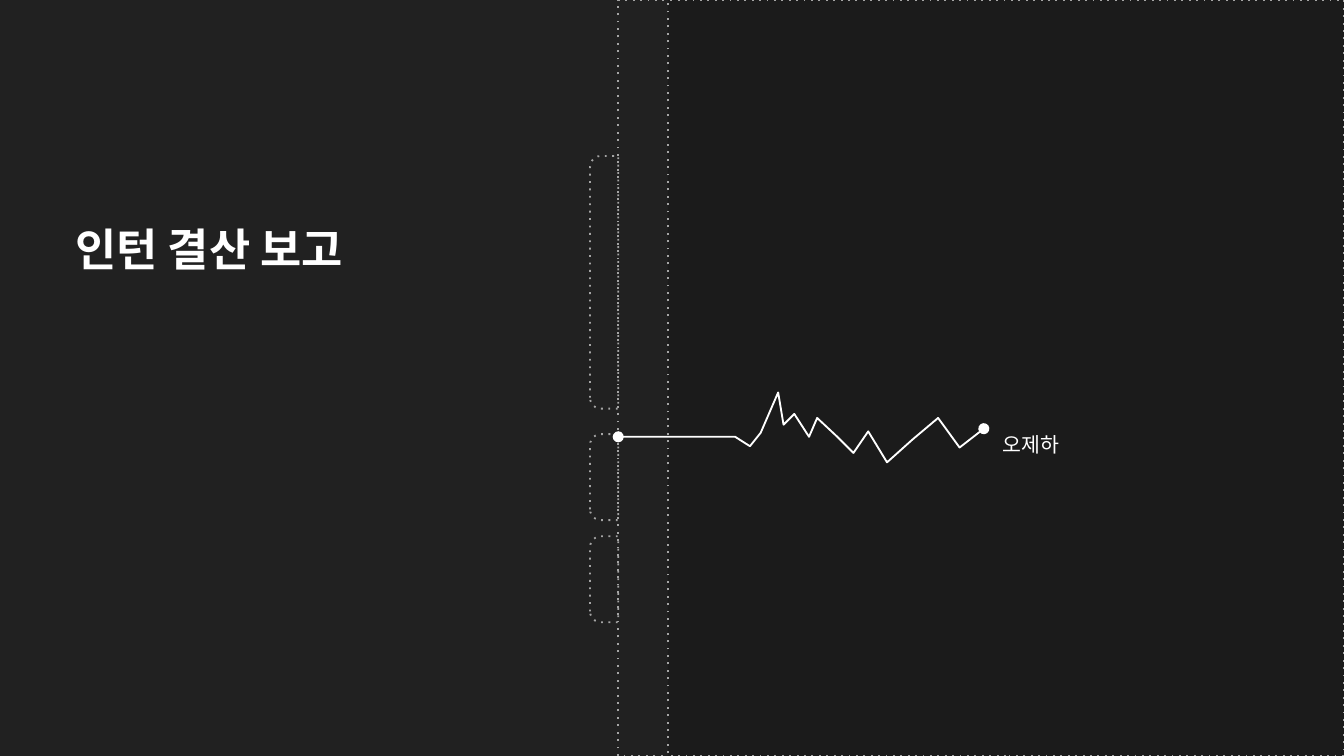
from lxml.etree import SubElement
from pptx import Presentation
from pptx.dml.color import RGBColor
from pptx.enum.dml import MSO_LINE
from pptx.enum.shapes import MSO_SHAPE
from pptx.enum.text import MSO_ANCHOR, MSO_AUTO_SIZE, PP_ALIGN
from pptx.oxml.ns import qn
from pptx.util import Inches, Pt

FONT = "Noto Sans CJK KR"
COLORS = {"background": "212121", "panel": "1B1B1B", "dots": "A5A5A5", "white": "FFFFFF"}
WIDTH = 10
HEIGHT = WIDTH * 9 / 16
SPINE = 4.6  # x where the tabs meet the page edge
TAB_DEPTH = 0.21
TABS = [(1.16, 1.88), (3.23, 0.64), (3.99, 0.64)]  # top, height
PULSE = [
    (7.32, 3.19), (7.14, 3.33), (6.98, 3.11), (6.79, 3.27), (6.6, 3.44), (6.46, 3.21),
    (6.35, 3.37), (6.23, 3.25), (6.08, 3.11), (6.02, 3.25), (5.91, 3.08), (5.83, 3.16),
    (5.79, 2.92), (5.66, 3.22), (5.58, 3.32), (5.47, 3.25), (SPINE, 3.25),
]


def color(name):
    return RGBColor.from_string(COLORS[name])


def style_shape(shape, fill=None, line="dots", dotted=True):
    shape.shadow.inherit = False
    if fill:
        shape.fill.solid()
        shape.fill.fore_color.rgb = color(fill)
    else:
        shape.fill.background()
    shape.line.color.rgb = color(line)
    shape.line.width = Pt(1)
    if dotted:
        # The widely spaced "dot" preset has no MSO_LINE member
        shape.line.dash_style = MSO_LINE.ROUND_DOT
        shape.line._get_or_add_ln().find(qn("a:prstDash")).set("val", "dot")


def write_text(shape, text, size=11, bold=False, ink="white"):
    frame = shape.text_frame
    frame.word_wrap = True
    frame.auto_size = MSO_AUTO_SIZE.NONE
    frame.vertical_anchor = MSO_ANCHOR.TOP
    frame.margin_left = frame.margin_right = Inches(0.07)
    frame.margin_top = frame.margin_bottom = Inches(0.04)
    paragraph = frame.paragraphs[0]
    paragraph.alignment = PP_ALIGN.LEFT
    paragraph.line_spacing = 1.5
    paragraph.space_before = Pt(0)
    run = paragraph.add_run()
    run.text = text
    run.font.size = Pt(size)
    run.font.bold = bold
    run.font.color.rgb = color(ink)
    run.font.name = FONT
    SubElement(run.font._element, qn("a:ea"), typeface=FONT)


def add_title(slide, text):
    title = slide.shapes.title
    title.left, title.top = Inches(0.49), Inches(1.41)
    title.width, title.height = Inches(3.22), Inches(0.74)
    write_text(title, text, size=24, bold=True)


def add_page(slide, left, fill):
    """Dotted page that runs from left to the right slide edge."""
    page = slide.shapes.add_shape(
        MSO_SHAPE.RECTANGLE, Inches(left), 0, Inches(WIDTH - left), Inches(HEIGHT))
    style_shape(page, fill=fill)


def add_tab(slide, top, height):
    """Index tab, turned so that its rounded corners face left."""
    center_x, center_y = SPINE - TAB_DEPTH / 2, top + height / 2
    tab = slide.shapes.add_shape(
        MSO_SHAPE.ROUND_2_SAME_RECTANGLE,
        Inches(center_x - height / 2), Inches(center_y - TAB_DEPTH / 2),
        Inches(height), Inches(TAB_DEPTH))
    tab.rotation = 270
    tab.adjustments[0] = 0.385
    style_shape(tab)


def add_pulse(slide, points):
    start, *rest = [(Inches(x), Inches(y)) for x, y in points]
    builder = slide.shapes.build_freeform(*start)
    builder.add_line_segments(rest, close=False)
    pulse = builder.convert_to_shape()
    style_shape(pulse, line="white", dotted=False)
    line = pulse.line._get_or_add_ln()
    for end in ("a:headEnd", "a:tailEnd"):
        SubElement(line, qn(end), type="oval")


def main():
    presentation = Presentation()
    presentation.slide_width, presentation.slide_height = Inches(WIDTH), Inches(HEIGHT)
    slide = presentation.slides.add_slide(presentation.slide_layouts[5])
    slide.background.fill.solid()
    slide.background.fill.fore_color.rgb = color("background")

    add_title(slide, "인턴 결산 보고")

    # Notebook pages and index tabs
    add_page(slide, SPINE, "background")
    for top, height in TABS:
        add_tab(slide, top, height)
    add_page(slide, 4.97, "panel")

    # Pulse line leading to the presenter's name
    add_pulse(slide, PULSE)
    name_box = slide.shapes.add_textbox(Inches(7.39), Inches(3.08), Inches(1.28), Inches(0.32))
    write_text(name_box, "오제하")

    presentation.save("out.pptx")


if __name__ == "__main__":
    main()
